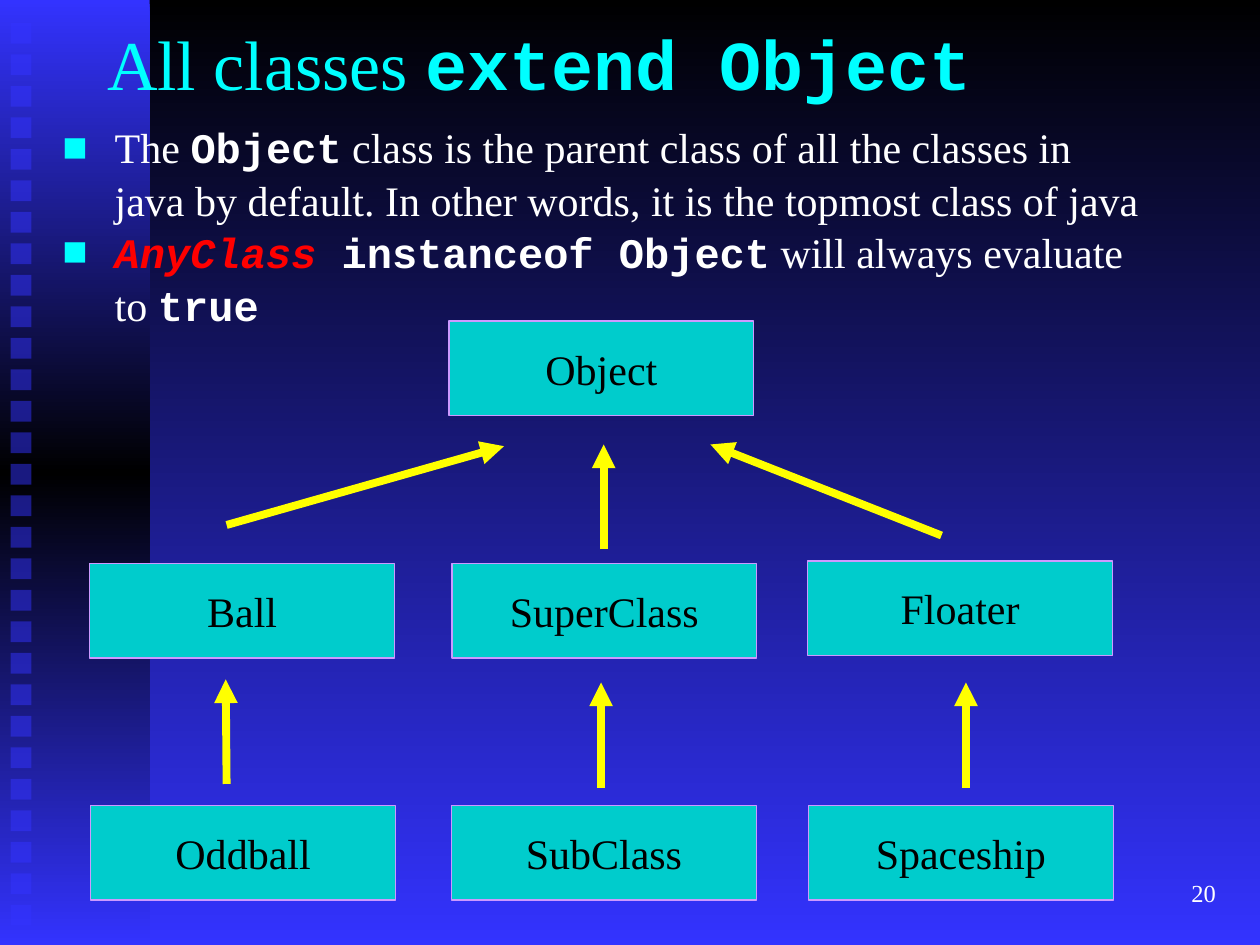
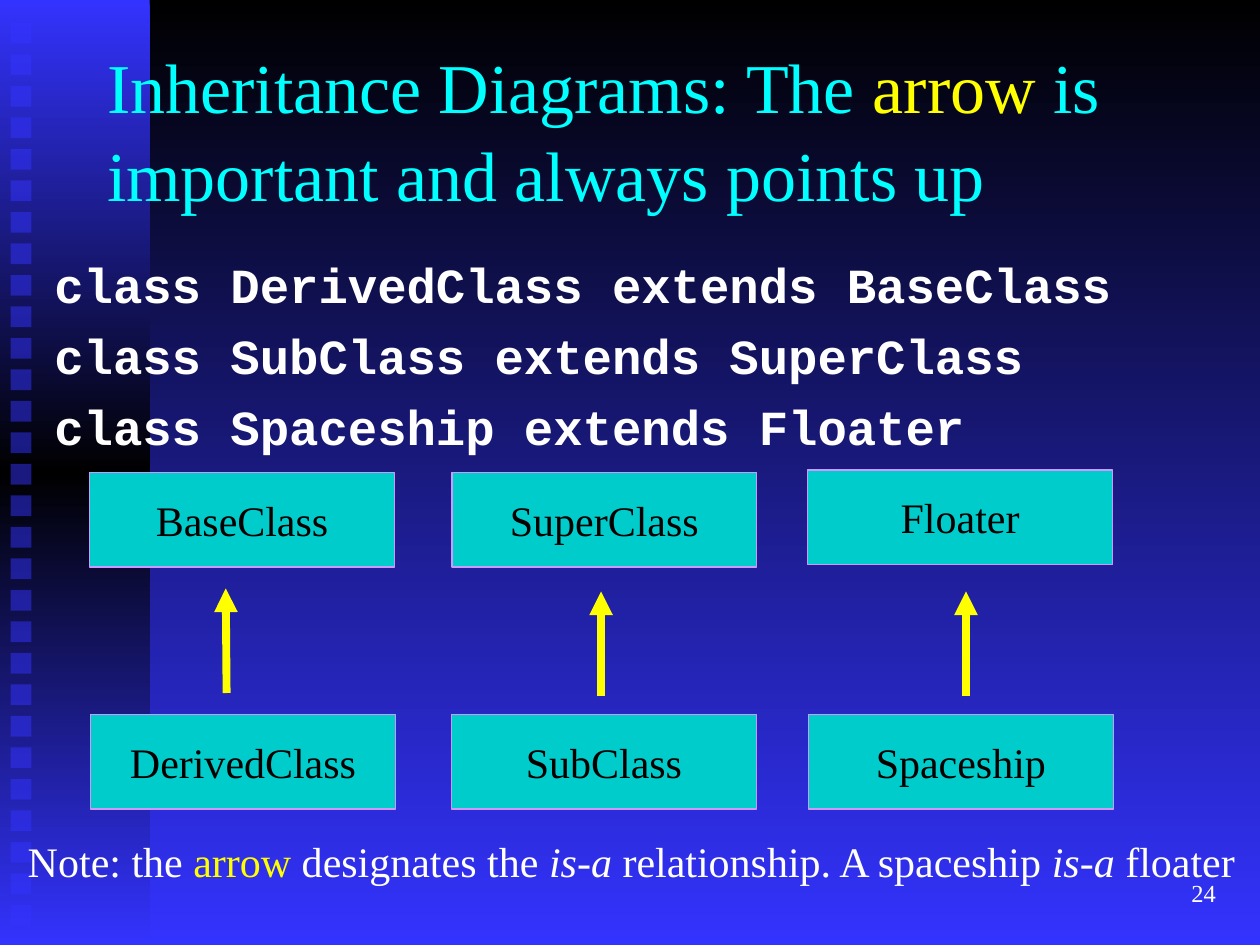
from lxml import etree
from pptx import Presentation
from pptx.dml.color import RGBColor
from pptx.enum import shapes, text
from pptx.oxml import ns
from pptx.util import Pt

COLORS = {
    "black": "000000", "blue": "3333FF", "white": "FFFFFF", "cyan": "00FFFF",
    "teal": "00CCCC", "lilac": "CC99FF", "yellow": "FFFF00", "red": "FF0000",
}
SERIF, MONO = "Times New Roman", "Courier New"
SLIDE_W, SLIDE_H = 720, 540
LINE_SPACING = 1.04

# Run styles, each laid over the defaults of its text block
PLAIN = {}
CODE = {"font": MONO, "bold": True}
CLASS_NAME = {**CODE, "color": "red", "italic": True}
ARROW_WORD = {"color": "yellow"}
ITALIC = {"italic": True}

# Class boxes: left of parent and child, drop of the parent, arrow from and to
BOX_W, BOX_H = 174.25, 54
CHILD_DROP = 138.25
COLUMNS = [
    (51.25, 51.75, 0, (129.5, 126), (129, 66.25)),
    (258.25, 258, 0, (343.5, 128), (343.5, 68)),
    (461.5, 462, -1.5, (552, 128), (552, 68)),
]


def rgb(name):
    return RGBColor.from_string(COLORS[name])


def sub(parent, tag, **attributes):
    return etree.SubElement(parent, ns.qn(tag), **attributes)


def vertical_gradient(fill, element, names):
    """Evenly spaced stops from top to bottom."""
    fill.gradient()
    fill.gradient_angle = 270
    stops = next(element.iter(ns.qn("a:gsLst")))
    for stop in list(stops):
        stops.remove(stop)
    for i, name in enumerate(names):
        stop = sub(stops, "a:gs", pos=str(100000 * i // (len(names) - 1)))
        sub(stop, "a:srgbClr", val=COLORS[name])


def write(frame, paragraphs, size, color="white", align=text.PP_ALIGN.LEFT,
          anchor=text.MSO_ANCHOR.TOP, spacing=None):
    """Fill a frame with paragraphs, each a list of (words, style) runs."""
    frame.word_wrap = True
    frame.auto_size = text.MSO_AUTO_SIZE.NONE
    frame.vertical_anchor = anchor
    for i, runs in enumerate(paragraphs):
        paragraph = frame.add_paragraph() if i else frame.paragraphs[0]
        paragraph.alignment = align
        paragraph.line_spacing = spacing
        for words, style in runs:
            run = paragraph.add_run()
            run.text = words
            run.font.size = Pt(size)
            run.font.name = style.get("font", SERIF)
            run.font.bold = style.get("bold", False)
            run.font.italic = style.get("italic", False)
            run.font.color.rgb = rgb(style.get("color", color))


def text_box(slide, box, paragraphs, size, **options):
    frame = slide.shapes.add_textbox(*map(Pt, box)).text_frame
    write(frame, paragraphs, size, **options)
    return frame


def hang(paragraph, left, indent, bullet=None):
    props = paragraph._p.get_or_add_pPr()
    props.set("marL", str(Pt(left)))
    props.set("indent", str(Pt(indent)))
    if bullet:
        sub(sub(props, "a:buClr"), "a:srgbClr", val=COLORS["cyan"])
        sub(props, "a:buFont", typeface=SERIF)
        sub(props, "a:buChar", char=bullet)


def rectangle(slide, box, fill=None):
    rect = slide.shapes.add_shape(shapes.MSO_SHAPE.RECTANGLE, *map(Pt, box))
    rect.shadow.inherit = False
    rect.line.fill.background()
    if fill:
        rect.fill.solid()
        rect.fill.fore_color.rgb = rgb(fill)
    return rect


def side_band(slide, box):
    """Gradient band with a column of translucent squares."""
    left, top, _, height = box
    band = rectangle(slide, box)
    vertical_gradient(band.fill, band.element, ["blue", "black", "blue"])
    pitch, side, first = 18, 12, 13
    for i in range((height - first) // pitch):
        square = rectangle(slide, (left + 6, top + first + i * pitch, side, side), "blue")
        fill_color = next(square.element.spPr.iter(ns.qn("a:srgbClr")))
        sub(fill_color, "a:alpha", val="50000")


def base_slide(prs, title_box, title_runs, number):
    """Band, title and slide number shared by all slides."""
    slide = prs.slides.add_slide(prs.slide_layouts[5])
    side_band(slide, (0, 0, 85.5, SLIDE_H))
    title = slide.shapes.title
    slide.shapes.element.append(title.element)  # in front of the band
    title.left, title.top, title.width, title.height = map(Pt, title_box)
    write(title.text_frame, [title_runs], 40, color="cyan",
          anchor=text.MSO_ANCHOR.MIDDLE, spacing=LINE_SPACING)
    text_box(slide, (552, 492, 150, 36), [[(number, PLAIN)]], 14,
             align=text.PP_ALIGN.RIGHT, anchor=text.MSO_ANCHOR.MIDDLE)
    return slide


def class_box(slide, left, top, name):
    box = rectangle(slide, (left, top, BOX_W, BOX_H), "teal")
    box.line.color.rgb = rgb("lilac")
    box.line.width = Pt(0.75)
    write(box.text_frame, [[(name, PLAIN)]], 24, color="black",
          align=text.PP_ALIGN.CENTER, anchor=text.MSO_ANCHOR.MIDDLE)


def arrow(slide, start, end):
    line = slide.shapes.add_connector(
        shapes.MSO_CONNECTOR.STRAIGHT, *map(Pt, (*start, *end)))
    line.line.color.rgb = rgb("yellow")
    line.line.width = Pt(4.5)
    sub(line.line._get_or_add_ln(), "a:tailEnd", type="triangle")
    sub(line._element.spPr, "a:effectLst")


def inheritance_pairs(slide, top, pairs):
    """Parent above child in each column, with an arrow pointing up."""
    for (parent, child), column in zip(pairs, COLUMNS):
        parent_left, child_left, drop, start, end = column
        class_box(slide, parent_left, top + drop, parent)
        class_box(slide, child_left, top + CHILD_DROP, child)
        arrow(slide, (start[0], top + start[1]), (end[0], top + end[1]))


def object_slide(prs):
    slide = base_slide(prs, (54, 5, 612, 60), [
        ("All classes ", PLAIN), ("extend Object", CODE)], "20")
    # Bulleted explanation
    body = text_box(slide, (22.5, 65, 642, 54), [
        [("The ", PLAIN), ("Object", CODE),
         (" class is the parent class of all the classes in java by default. "
          "In other words, it is the topmost class of java", PLAIN)],
        [("AnyClass", CLASS_NAME), (" instanceof Object", CODE),
         (" will always evaluate to ", PLAIN), ("true", CODE)],
    ], 24, spacing=LINE_SPACING)
    for paragraph in body.paragraphs:
        hang(paragraph, 36, -30, "■")
    # Class tree below Object
    inheritance_pairs(slide, 322, [
        ("Ball", "Oddball"), ("SuperClass", "SubClass"), ("Floater", "Spaceship")])
    class_box(slide, 256.5, 183.5, "Object")
    for start, end in [((345, 314), (345, 254)),
                       ((538, 306), (406, 254)),
                       ((129.5, 300), (288, 255))]:
        arrow(slide, start, end)


def diagram_slide(prs):
    slide = base_slide(prs, (54, 28, 612, 90), [
        ("Inheritance Diagrams: The ", PLAIN), ("arrow", ARROW_WORD),
        (" is important and always points up", PLAIN)], "24")
    # Class declarations
    pairs = [("BaseClass", "DerivedClass"), ("SuperClass", "SubClass"),
             ("Floater", "Spaceship")]
    declarations = text_box(slide, (24, 140.5, 642, 156), [
        [(f"class {child} extends {parent}", CODE)] for parent, child in pairs
    ], 28, spacing=LINE_SPACING)
    for paragraph in declarations.paragraphs:
        paragraph.space_before = Pt(5.6)
        hang(paragraph, 27, -27)
    inheritance_pairs(slide, 270, pairs)
    # Closing note
    text_box(slide, (8.75, 474, 711, 65.5), [[
        ("Note: the ", PLAIN), ("arrow", ARROW_WORD), (" designates the ", PLAIN),
        ("is-a ", ITALIC), ("relationship. A spaceship ", PLAIN),
        ("is-a", ITALIC), (" floater", PLAIN)]], 24)


def main():
    prs = Presentation()
    prs.slide_width, prs.slide_height = Pt(SLIDE_W), Pt(SLIDE_H)
    master = prs.slide_master
    vertical_gradient(master.background.fill, master.element, ["black", "blue"])
    object_slide(prs)
    diagram_slide(prs)
    prs.save("out.pptx")


if __name__ == "__main__":
    main()
